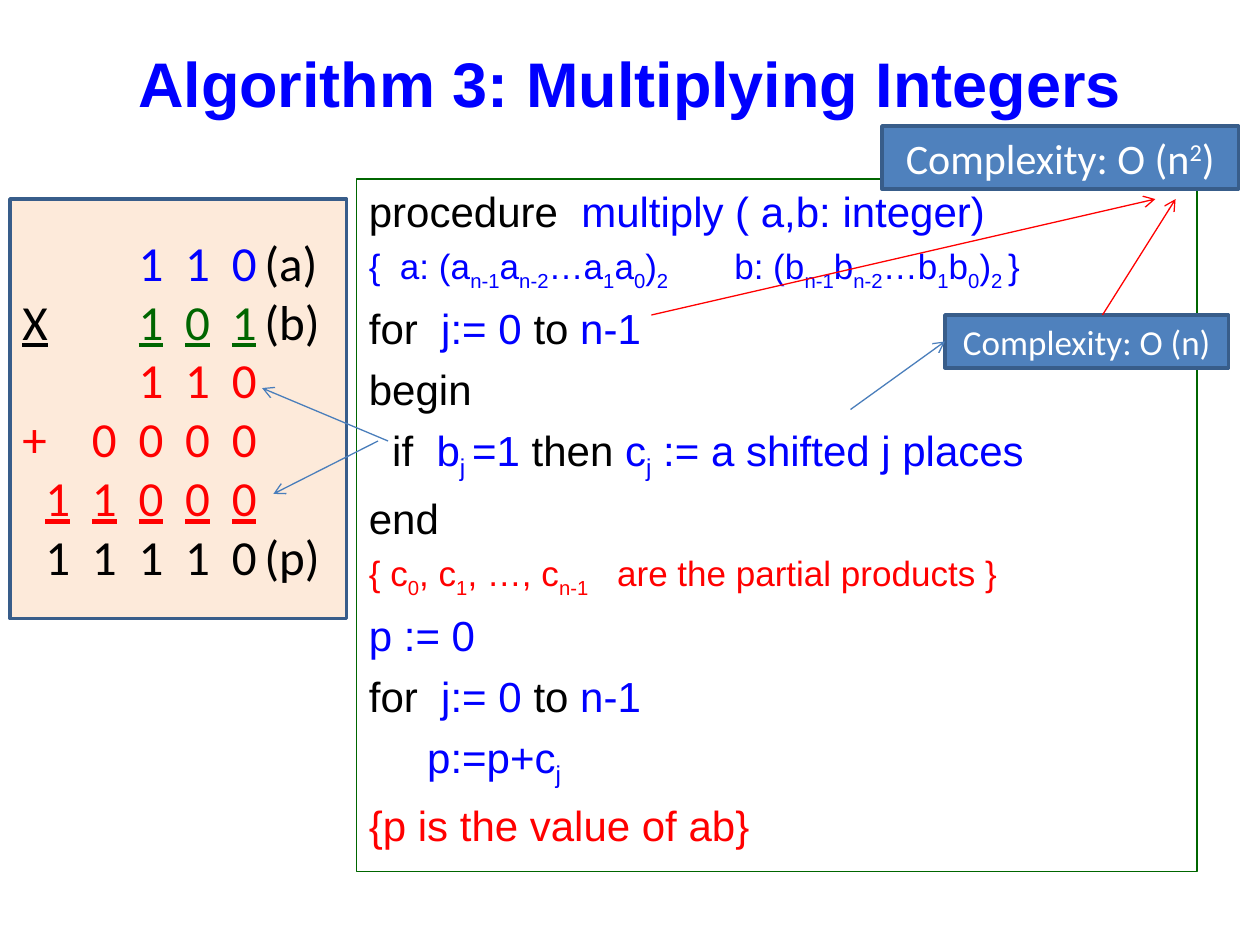
from lxml.etree import SubElement
from pptx import Presentation
from pptx.dml.color import RGBColor
from pptx.enum.shapes import MSO_CONNECTOR, MSO_SHAPE
from pptx.enum.text import MSO_ANCHOR, PP_ALIGN
from pptx.oxml.ns import qn
from pptx.util import Inches, Pt

BLACK = RGBColor(0x00, 0x00, 0x00)
WHITE = RGBColor(0xFF, 0xFF, 0xFF)
BLUE = RGBColor(0x00, 0x00, 0xFF)
RED = RGBColor(0xFF, 0x00, 0x00)
GREEN = RGBColor(0x00, 0x66, 0x00)
PEACH = RGBColor(0xFD, 0xEA, 0xDA)
LABEL_BLUE = RGBColor(0x4F, 0x81, 0xBD)
BORDER_BLUE = RGBColor(0x38, 0x5D, 0x8A)
ARROW_BLUE = RGBColor(0x4A, 0x7E, 0xBB)

# A pair of ~ marks lowered text. Each line is (size, spans of text and colour).
PROCEDURE = [
    (24, [("procedure", BLACK), ("  multiply ( a,b: integer)", BLUE)]),
    (20, [("{  a: (a~n-1~a~n-2~…a~1~a~0~)~2~\tb: (b~n-1~b~n-2~…b~1~b~0~)~2 ~}", BLUE)]),
    (24, [("for", BLACK), ("  j:= 0 ", BLUE), ("to", BLACK), (" n-1", BLUE)]),
    (24, [("begin", BLACK)]),
    (24, [("  if  ", BLACK), ("b~j ~=1 ", BLUE), ("then", BLACK),
          (" c~j~ := a shifted j places", BLUE)]),
    (24, [("end", BLACK)]),
    (20, [("{ c~0~, c~1~, …, c~n-1~\tare the partial products }", RED)]),
    (24, [("p := 0", BLUE)]),
    (24, [("for", BLACK), ("  j:= 0 ", BLUE), ("to", BLACK), (" n-1", BLUE)]),
    (24, [("     p:=p+c~j~", BLUE)]),
    (24, [("{p is the value of ab}", RED)]),
]
PROCEDURE_TABS = {1: [(2.9, "l")], 6: [(1.97, "l")]}

# Each line is (underlined, spans); one tab per digit column, then the label.
MULTIPLICATION = [
    (False, [("\t\t\t1\t1\t0", BLUE), ("\t(a)", BLACK)]),
    (True, [("X\t\t", BLACK), ("\t1\t0\t1\t", GREEN)]),
    (False, [("\t\t\t1\t1\t0", RED)]),
    (False, [("+\t\t0\t0\t0\t0", RED)]),
    (True, [("\t1\t1\t0\t0\t0", RED)]),
    (False, [("\t1\t1\t1\t1\t0\t(p)", BLACK)]),
]
DIGIT_TABS = [(0.28 + 0.37 * column, "ctr") for column in range(5)] + [(1.92, "l")]


def add_text(para, text, *, size, color, font="Arial", bold=False,
             underline=False, shift=-25000):
    """Append text to a paragraph; parts between ~ marks get the baseline shift."""
    for index, part in enumerate(text.split("~")):
        if not part:
            continue
        span = para.add_run()
        span.text = part
        span.font.name = font
        span.font.size = Pt(size)
        span.font.bold = bold
        span.font.underline = underline
        span.font.color.rgb = color
        if index % 2:
            span.font._element.set("baseline", str(shift))


def set_tabs(para, stops):
    tab_list = SubElement(para._p.get_or_add_pPr(), qn("a:tabLst"))
    for position, align in stops:
        SubElement(tab_list, qn("a:tab"), pos=str(Inches(position)), algn=align)


def next_para(frame, index):
    return frame.add_paragraph() if index else frame.paragraphs[0]


def add_panel(page, left, top, width, height, *, line, weight, fill=None,
              anchor=MSO_ANCHOR.MIDDLE):
    box = page.shapes.add_shape(MSO_SHAPE.RECTANGLE, Inches(left), Inches(top),
                                Inches(width), Inches(height))
    box.shadow.inherit = False
    if fill is None:
        box.fill.background()
    else:
        box.fill.solid()
        box.fill.fore_color.rgb = fill
    box.line.color.rgb = line
    box.line.width = Pt(weight)
    box.text_frame.word_wrap = True
    box.text_frame.vertical_anchor = anchor
    return box


def add_title(page, text):
    box = page.shapes.add_textbox(Inches(0.5), Inches(0.3), Inches(9), Inches(0.7))
    box.text_frame.word_wrap = True
    box.text_frame.vertical_anchor = MSO_ANCHOR.MIDDLE
    para = box.text_frame.paragraphs[0]
    para.alignment = PP_ALIGN.CENTER
    add_text(para, text, size=36, color=BLUE, bold=True)


def add_procedure(page):
    box = add_panel(page, 2.83, 1.42, 6.67, 5.5, line=GREEN, weight=0.75,
                    anchor=MSO_ANCHOR.TOP)
    for index, (size, spans) in enumerate(PROCEDURE):
        para = next_para(box.text_frame, index)
        if index in PROCEDURE_TABS:
            set_tabs(para, PROCEDURE_TABS[index])
        para.alignment = PP_ALIGN.LEFT
        if index:
            para.space_before = Pt(size / 4)
        for text, color in spans:
            add_text(para, text, size=size, color=color)


def add_multiplication(page):
    box = add_panel(page, 0.08, 1.58, 2.67, 3.33, line=BORDER_BLUE, weight=2,
                    fill=PEACH)
    for index, (underlined, spans) in enumerate(MULTIPLICATION):
        para = next_para(box.text_frame, index)
        set_tabs(para, DIGIT_TABS)
        para.alignment = PP_ALIGN.LEFT
        for text, color in spans:
            add_text(para, text, size=28, color=color, font="Calibri",
                     underline=underlined)
        if index == 1:
            add_text(para, "(b)", size=28, color=BLACK, font="Calibri")


def add_complexity(page, text, left, top, width, height, size):
    box = add_panel(page, left, top, width, height, line=BORDER_BLUE, weight=2,
                    fill=LABEL_BLUE)
    para = box.text_frame.paragraphs[0]
    para.alignment = PP_ALIGN.CENTER
    add_text(para, text, size=size, color=WHITE, font="Calibri", shift=30000)
    return box


def add_arrow(page, start, end, color):
    arrow = page.shapes.add_connector(MSO_CONNECTOR.STRAIGHT,
                                      *map(Inches, start + end))
    arrow.line.color.rgb = color
    arrow.line.width = Pt(0.75)
    SubElement(arrow.line._get_or_add_ln(), qn("a:tailEnd"), type="arrow")
    SubElement(arrow._element.spPr, qn("a:effectLst"))
    return arrow


def main():
    deck = Presentation()
    deck.slide_width, deck.slide_height = Inches(10), Inches(7.5)
    page = deck.slides.add_slide(deck.slide_layouts[6])

    add_title(page, "Algorithm 3: Multiplying Integers")
    add_procedure(page)
    add_multiplication(page)
    add_arrow(page, (3.08, 3.5), (2.08, 3.08), ARROW_BLUE)
    add_arrow(page, (3, 3.5), (2.17, 3.92), ARROW_BLUE)
    add_complexity(page, "Complexity: O (n~2~)", 7, 1, 2.83, 0.5, 24)
    linear = add_complexity(page, "Complexity: O (n)", 7.5, 2.5, 2.25, 0.42, 20)
    shift_arrow = add_arrow(page, (6.75, 3.25), (7.5, 2.71), ARROW_BLUE)
    shift_arrow.end_connect(linear, 1)
    add_arrow(page, (8.75, 2.5), (9.33, 1.58), RED)
    add_arrow(page, (5.17, 2.5), (9.17, 1.58), RED)

    deck.save("out.pptx")


if __name__ == "__main__":
    main()
